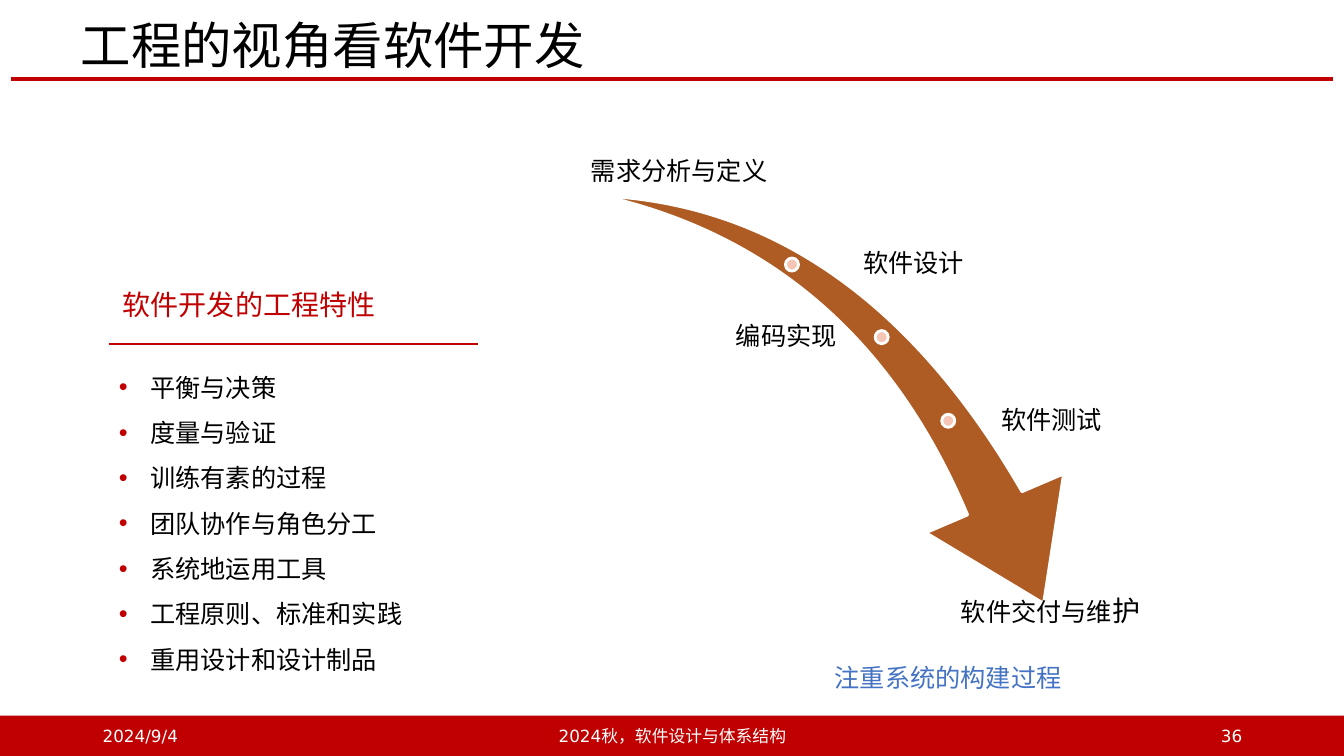
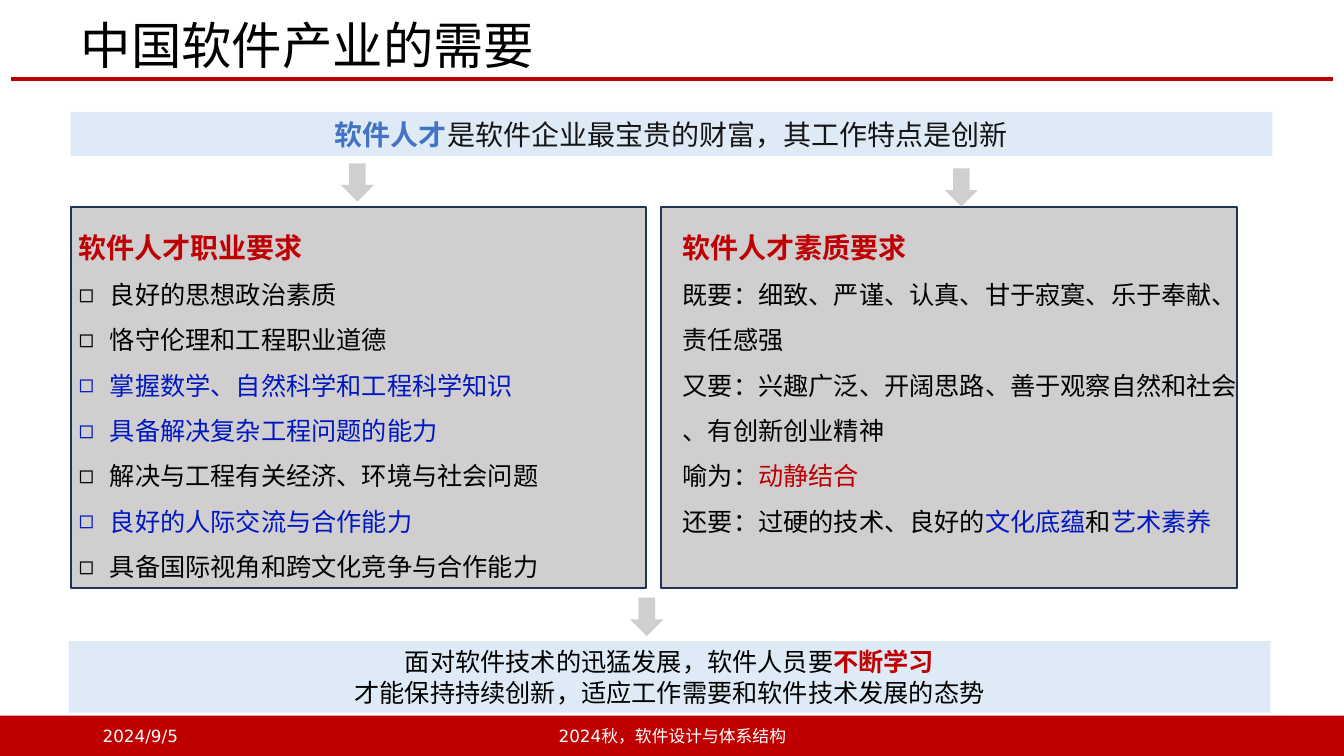
from dataclasses import dataclass
from typing import Optional

from lxml.etree import SubElement
from pptx import Presentation
from pptx.dml.color import RGBColor
from pptx.enum.shapes import MSO_CONNECTOR, MSO_SHAPE as Preset
from pptx.enum.text import MSO_ANCHOR as Anchor, MSO_AUTO_SIZE, PP_ALIGN as Align
from pptx.oxml.ns import qn
from pptx.util import Inches, Pt

COLORS = {
    "red": "C00000", "heading": "BE0004", "black": "000000", "ink": "151515",
    "white": "FFFFFF", "accent": "4472C4", "blue": "0018C0", "navy": "1E3256",
    "gray": "D0CECE", "pale": "DEEBF7", "brown": "AF5C24", "pink": "F5C6B6",
}
ARIAL, SANS, CJK = "Arial", "DejaVu Sans", "Noto Sans CJK SC"
COURSE = "2024秋，软件设计与体系结构"


@dataclass(frozen=True)
class Run:
    text: str
    color: Optional[str] = None
    bold: bool = False
    size: Optional[float] = None


@dataclass(frozen=True)
class Para:
    runs: tuple
    bullet: Optional[str] = None
    bullet_color: Optional[str] = None


@dataclass(frozen=True)
class Stage:
    runs: tuple
    box: tuple
    anchor: Anchor
    align: Align


def rgb(name: str) -> RGBColor:
    return RGBColor.from_string(COLORS[name])


def line_of(text: str, color: Optional[str] = None, **bullet) -> Para:
    return Para((Run(text, color),), **bullet)


# Text
def set_bullet(paragraph, bullet: Optional[str], color: Optional[str]) -> None:
    props = paragraph._p.get_or_add_pPr()
    hang = Inches(0.31) if bullet else 0
    props.set("marL", str(hang))
    props.set("indent", str(-hang))
    if not bullet:
        SubElement(props, qn("a:buNone"))
        return
    if color:
        SubElement(SubElement(props, qn("a:buClr")), qn("a:srgbClr"), val=COLORS[color])
    SubElement(props, qn("a:buFont"), typeface=ARIAL)
    SubElement(props, qn("a:buChar"), char=bullet)


def write_text(shape, paras: list, *, size: float = 18, font: str = SANS,
               color: str = "black", align: Align = Align.LEFT,
               anchor: Anchor = Anchor.TOP, spacing: float = 1.0,
               wrap: bool = True, inset: Optional[float] = None) -> None:
    frame = shape.text_frame
    frame.auto_size = MSO_AUTO_SIZE.NONE
    frame.word_wrap = wrap
    frame.vertical_anchor = anchor
    if inset is not None:
        frame.margin_left = frame.margin_right = Inches(inset)
        frame.margin_top = frame.margin_bottom = Inches(inset)
    for index, para in enumerate(paras):
        paragraph = frame.add_paragraph() if index else frame.paragraphs[0]
        set_bullet(paragraph, para.bullet, para.bullet_color)
        paragraph.alignment = align
        paragraph.line_spacing = spacing
        paragraph.space_before = Pt(0)
        for part in para.runs:
            run = paragraph.add_run()
            run.text = part.text
            run.font.name = font
            run.font.size = Pt(part.size or size)
            run.font.bold = part.bold
            run.font.color.rgb = rgb(part.color or color)
            SubElement(run.font._element, qn("a:ea"), typeface=SANS)


def place(shape, box: tuple):
    shape.left, shape.top, shape.width, shape.height = map(Inches, box)
    return shape


def add_text(slide, box: tuple, paras: list, **text_format) -> None:
    write_text(slide.shapes.add_textbox(*map(Inches, box)), paras, **text_format)


# Shapes
def add_shape(slide, preset: Preset, box: tuple, fill: str,
              line: Optional[str] = None, width: float = 1.5):
    shape = slide.shapes.add_shape(preset, *map(Inches, box))
    shape.shadow.inherit = False
    shape.fill.solid()
    shape.fill.fore_color.rgb = rgb(fill)
    if line:
        shape.line.color.rgb = rgb(line)
        shape.line.width = Pt(width)
    else:
        shape.line.fill.background()
    return shape


def add_rule(slide, left: float, right: float, y: float, width: float) -> None:
    rule = slide.shapes.add_connector(
        MSO_CONNECTOR.STRAIGHT, Inches(left), Inches(y), Inches(right), Inches(y))
    rule.line.color.rgb = rgb("red")
    rule.line.width = Pt(width)
    SubElement(rule._element.spPr, qn("a:effectLst"))


# Shared title, rule and footer band
def start_slide(prs, layout: int, title: str, date: str, number: str = ""):
    slide = prs.slides.add_slide(prs.slide_layouts[layout])
    write_text(place(slide.shapes.title, (0.7, 0.18, 11.71, 0.6)), [line_of(title)],
               size=36, font=ARIAL, anchor=Anchor.MIDDLE, spacing=0.9)
    add_rule(slide, 0.11, 13.22, 0.78, 3)
    add_shape(slide, Preset.RECTANGLE, (0, 7.1, 13.33, 0.4), "red")
    footers = ((0.92, 3, date, Align.LEFT), (4.42, 4.5, COURSE, Align.CENTER),
               (9.42, 3, number, Align.RIGHT))
    for left, width, text, align in footers:
        if text:
            add_text(slide, (left, 7.1, width, 0.4), [line_of(text)], size=12,
                     color="white", align=align, anchor=Anchor.MIDDLE)
    return slide


TRAITS = ("平衡与决策", "度量与验证", "训练有素的过程", "团队协作与角色分工",
          "系统地运用工具", "工程原则、标准和实践", "重用设计和设计制品")

STAGES = (
    Stage((Run("需求分析与定义"),), (5.53, 0.92, 2.41, 0.95), Anchor.BOTTOM, Align.CENTER),
    Stage((Run("软件设计"),), (8.53, 2.15, 3.52, 0.95), Anchor.MIDDLE, Align.LEFT),
    Stage((Run("编码实现"),), (5.53, 2.87, 2.8, 0.95), Anchor.MIDDLE, Align.RIGHT),
    Stage((Run("软件测试"),), (9.9, 3.7, 2.15, 0.95), Anchor.MIDDLE, Align.LEFT),
    Stage((Run("软件交付与维"), Run("护", size=20)), (8.79, 5.9, 3.26, 0.95),
          Anchor.TOP, Align.CENTER),
)


def build_engineering_view(prs) -> None:
    slide = start_slide(prs, 1, "工程的视角看软件开发", "2024/9/4", "36")

    # Engineering traits
    add_text(slide, (1.12, 2.8, 2.73, 0.44), [line_of("软件开发的工程特性")],
             size=20, color="red", wrap=False)
    add_rule(slide, 1.08, 4.74, 3.41, 1.5)
    write_text(place(slide.placeholders[1], (1.08, 3.49, 3.04, 3.23)),
               [line_of(trait, bullet="•", bullet_color="red") for trait in TRAITS],
               spacing=1.5)

    # Construction process
    swoosh = add_shape(slide, Preset.SWOOSH_ARROW, (5.88, 2.1, 5.12, 3.57),
                       "brown", "white", 2)
    swoosh.rotation = 73.3
    swoosh.adjustments[0], swoosh.adjustments[1] = 0.163, 0.314
    for left, top in ((7.79, 2.56), (8.68, 3.28), (9.34, 4.11)):
        add_shape(slide, Preset.OVAL, (left, top, 0.13, 0.13), "pink", "white", 2)
    for stage in STAGES:
        add_text(slide, stage.box, [Para(stage.runs)], anchor=stage.anchor,
                 align=stage.align, spacing=0.9, inset=0.03)
    add_text(slide, (8.18, 6.52, 2.47, 0.4), [line_of("注重系统的构建过程")],
             color="accent", wrap=False)


# Requirement text, with the colour of each line
CAREER = (
    ("良好的思想政治素质", "black"),
    ("恪守伦理和工程职业道德", "black"),
    ("掌握数学、自然科学和工程科学知识", "blue"),
    ("具备解决复杂工程问题的能力", "blue"),
    ("解决与工程有关经济、环境与社会问题", "black"),
    ("良好的人际交流与合作能力", "blue"),
    ("具备国际视角和跨文化竞争与合作能力", "black"),
)
QUALITY = (
    line_of("既要：细致、严谨、认真、甘于寂寞、乐于奉献、"),
    line_of("责任感强"),
    line_of("又要：兴趣广泛、开阔思路、善于观察自然和社会"),
    line_of("、有创新创业精神"),
    Para((Run("喻为："), Run("动静结合", "heading"))),
    Para((Run("还要：过硬的技术、良好的"), Run("文化底蕴", "blue"),
          Run("和"), Run("艺术素养", "blue"))),
)


def build_industry_needs(prs) -> None:
    slide = start_slide(prs, 3, "中国软件产业的需要", "2024/9/5")

    # Opening and closing statements
    opening = [Para((Run("软件人才", "accent", True),
                     Run("是软件企业最宝贵的财富，其工作特点是创新", "ink")))]
    closing = [Para((Run("面对软件技术的迅猛发展，软件人员要"), Run("不断学习", "red", True))),
               line_of("才能保持持续创新，适应工作需要和软件技术发展的态势")]
    for box, paras, size in (((0.7, 1.11, 11.92, 0.44), opening, 20),
                             ((0.68, 6.36, 11.92, 0.71), closing, 18)):
        write_text(add_shape(slide, Preset.RECTANGLE, box, "pale"), paras, size=size,
                   font=ARIAL, align=Align.CENTER, anchor=Anchor.MIDDLE)

    # Requirement panels, kept behind their text
    career = [line_of(text, color, bullet="◻") for text, color in CAREER]
    panels = ((1, 0.7, 0.68, "软件人才职业要求", career, CJK),
              (2, 6.56, 6.67, "软件人才素质要求", list(QUALITY), ARIAL))
    for key, panel_left, text_left, heading, paras, font in panels:
        panel = add_shape(slide, Preset.RECTANGLE, (panel_left, 2.05, 5.71, 3.78),
                          "gray", "navy")
        slide.shapes.title.element.addprevious(panel.element)
        heading_para = Para((Run(heading, "heading", True, 20),))
        write_text(place(slide.placeholders[key], (text_left, 2.07, 5.73, 3.73)),
                   [heading_para] + paras, font=font, spacing=1.5)

    # Arrows between the blocks
    for left, top in ((3.38, 1.62), (9.37, 1.67), (6.25, 5.93)):
        add_shape(slide, Preset.DOWN_ARROW, (left, top, 0.33, 0.38), "gray")


def main() -> None:
    prs = Presentation()
    prs.slide_width, prs.slide_height = Inches(13.33), Inches(7.5)
    build_engineering_view(prs)
    build_industry_needs(prs)
    prs.save("out.pptx")


if __name__ == "__main__":
    main()
